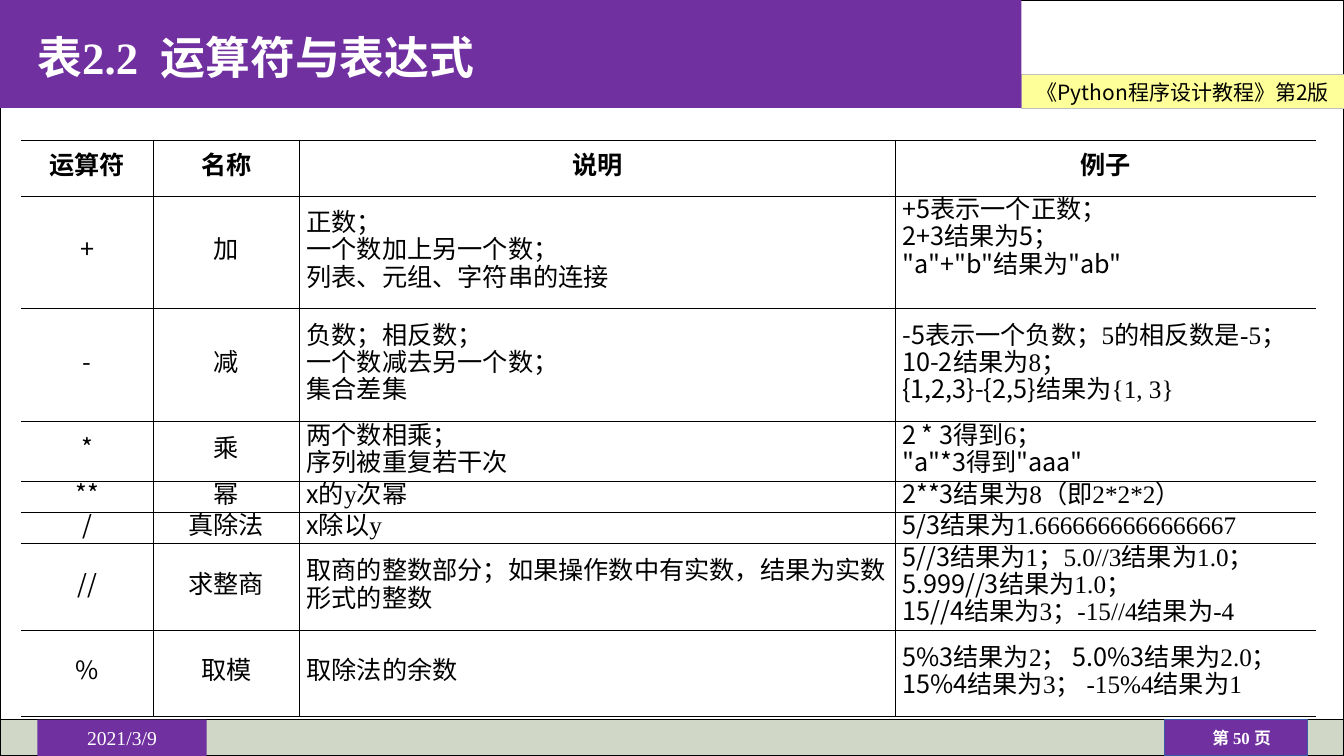
import pptx
import pptx.dml.color
import pptx.enum.shapes
import pptx.enum.text
import pptx.oxml
import pptx.oxml.ns
import pptx.util
from pptx.util import Inches

SANS, SERIF = "Noto Sans CJK SC", "Times New Roman"
PURPLE, BLACK, WHITE = "7030A0", "000000", "FFFFFF"

# Content: in table text, "|" switches between the sans and the serif face
TITLE = "表2.2  运算符与表达式"
BOOK = "《Python程序设计教程》第2版"
DATE, PAGE = "2021/3/9", "第 50 页"
HEADERS = ["运算符", "名称", "说明", "例子"]
OPERATORS = [
    ("+", "加", ["|正数；", "|一个数加上另一个数；", "|列表、元组、字符串的连接"],
     ["+5|表示一个正数；", "2+3|结果为|5|；", '"a"+"b"|结果为|"ab"']),
    ("-", "减", ["|负数；相反数；", "|一个数减去另一个数；", "|集合差集"],
     ["-5|表示一个负数；5的相反数是-5；", "10-2|结果为8；",
      "{1,2,3}-{2,5}|结果为{1, 3}"]),
    ("*", "乘", ["|两个数相乘；", "|序列被重复若干次"],
     ["2 * 3|得到6；", '"a"*3|得到|"aaa"']),
    ("**", "幂", ["x|的y次幂"], ["2**3|结果为8（即2*2*2）"]),
    ("/", "真除法", ["x|除以y"], ["5/3|结果为1.6666666666666667"]),
    ("//", "求整商", ["|取商的整数部分；如果操作数中有实数，结果为实数形式的整数"],
     ["5//3|结果为1；5.0//3结果为1.0；", "5.999//3|结果为1.0；",
      "15//4|结果为3；-15//4结果为-4"]),
    ("%", "取模", ["|取除法的余数"],
     ["5%3|结果为2； |5.0%3|结果为2.0；", "15%4|结果为3； -15%4结果为1"]),
]
COL_WIDTHS = [1.31, 1.45, 5.91, 4.17]
ROW_HEIGHTS = [0.56, 1.11, 0.86, 0.59, 0.31, 0.31, 0.86, 0.59]

# Bands and labels: box, fill, line (colour, points), text (words, size, font, colour, bold)
BANDS = [
    ((0, 0, 13.33, 7.5), None, (BLACK, 1), None),
    ((0, 7.14, 13.33, 0.36), "D1D7C7", (BLACK, 1), None),
    ((10.13, 0.74, 3.2, 0.34), "FFFF99", ("C0C0C0", 0.5), (BOOK, 15, SANS, BLACK, False)),
    ((0, 0, 10.13, 1.07), PURPLE, None, None),
    ((11.55, 7.14, 1.42, 0.36), PURPLE, ("365AA8", 1), None),
    ((11.66, 7.21, 1.31, 0.22), None, None, (PAGE, 12, SERIF, WHITE, True)),
    ((0.37, 7.14, 1.68, 0.36), PURPLE, None, (DATE, 14, SERIF, WHITE, False)),
]

ALIGN = pptx.enum.text.PP_ALIGN
ANCHOR = pptx.enum.text.MSO_ANCHOR


def rgb(value):
    return pptx.dml.color.RGBColor.from_string(value)


def add_run(p, text, size, font, color, bold=False):
    r = p.add_run()
    r.text = text
    r.font.size = pptx.util.Pt(size)
    r.font.bold = bold
    r.font.color.rgb = rgb(color)
    r.font.name = font
    ea = pptx.oxml.parse_xml(
        f'<a:ea {pptx.oxml.ns.nsdecls("a")} typeface="{SANS}"/>')
    r.font._element.append(ea)


def add_band(slide, box, fill, line, label):
    sp = slide.shapes.add_shape(
        pptx.enum.shapes.MSO_SHAPE.RECTANGLE, *map(Inches, box))
    sp.shadow.inherit = False
    if fill:
        sp.fill.solid()
        sp.fill.fore_color.rgb = rgb(fill)
    else:
        sp.fill.background()
    if line:
        sp.line.color.rgb = rgb(line[0])
        sp.line.width = pptx.util.Pt(line[1])
    else:
        sp.line.fill.background()
    if label:
        tf = sp.text_frame
        tf.word_wrap = False
        tf.vertical_anchor = ANCHOR.MIDDLE
        tf.margin_left = tf.margin_right = Inches(0.05)
        tf.margin_top = tf.margin_bottom = 0
        tf.paragraphs[0].alignment = ALIGN.CENTER
        add_run(tf.paragraphs[0], *label)


def set_borders(cell, sides):
    tc_pr = cell._tc.get_or_add_tcPr()
    for i, side in enumerate("LRTB"):
        paint = (f'<a:solidFill><a:srgbClr val="{BLACK}"/></a:solidFill>'
                 if side in sides else "<a:noFill/>")
        tc_pr.insert(i, pptx.oxml.parse_xml(
            f'<a:ln{side} {pptx.oxml.ns.nsdecls("a")} w="12700">{paint}</a:ln{side}>'))


def fill_cell(cell, lines, align, bold=False, anchor=ANCHOR.MIDDLE):
    cell.fill.background()
    cell.vertical_anchor = anchor
    cell.margin_left = cell.margin_right = Inches(0.07)
    cell.margin_top = cell.margin_bottom = Inches(0.02)
    tf = cell.text_frame
    for i, line in enumerate(lines):
        p = tf.add_paragraph() if i else tf.paragraphs[0]
        p.alignment = align
        p.line_spacing = pptx.util.Pt(19.5)
        for j, part in enumerate(line.split("|")):
            if part:
                add_run(p, part, 18, SERIF if j % 2 else SANS, BLACK, bold)


def add_operator_table(slide):
    frame = slide.shapes.add_table(
        len(ROW_HEIGHTS), len(COL_WIDTHS), Inches(0.21), Inches(1.39),
        Inches(sum(COL_WIDTHS)), Inches(sum(ROW_HEIGHTS)))
    table = frame.table
    table.first_row = table.horz_banding = False
    for col, width in zip(table.columns, COL_WIDTHS):
        col.width = Inches(width)
    for row, height in zip(table.rows, ROW_HEIGHTS):
        row.height = Inches(height)

    rows = [[["|" + name] for name in HEADERS]]
    rows += [[[op], ["|" + name], notes, examples]
             for op, name, notes, examples in OPERATORS]
    last = len(COL_WIDTHS) - 1
    for r, row in enumerate(rows):
        for c, lines in enumerate(row):
            cell = table.cell(r, c)
            align = ALIGN.CENTER if r == 0 or c < 2 else ALIGN.LEFT
            anchor = ANCHOR.TOP if (r, c) == (1, last) else ANCHOR.MIDDLE
            fill_cell(cell, lines, align, r == 0, anchor)
            set_borders(cell, "TB" + ("L" if c else "") + ("R" if c < last else ""))


def main():
    prs = pptx.Presentation()
    prs.slide_width, prs.slide_height = Inches(13.33), Inches(7.5)
    slide = prs.slides.add_slide(prs.slide_layouts[5])

    for band in BANDS:
        add_band(slide, *band)

    # Title, raised above the purple band
    title = slide.shapes.title
    title.left, title.top, title.width, title.height = map(Inches, (0.37, 0, 9.77, 1.07))
    slide.shapes._spTree.append(title._element)
    tf = title.text_frame
    tf.word_wrap = True
    tf.auto_size = pptx.enum.text.MSO_AUTO_SIZE.NONE
    tf.vertical_anchor = ANCHOR.MIDDLE
    tf.margin_left = tf.margin_right = tf.margin_top = tf.margin_bottom = 0
    p = tf.paragraphs[0]
    p.alignment = ALIGN.LEFT
    p.line_spacing = 1.1
    add_run(p, TITLE, 32, SERIF, WHITE, True)

    add_operator_table(slide)
    prs.save("out.pptx")


if __name__ == "__main__":
    main()
